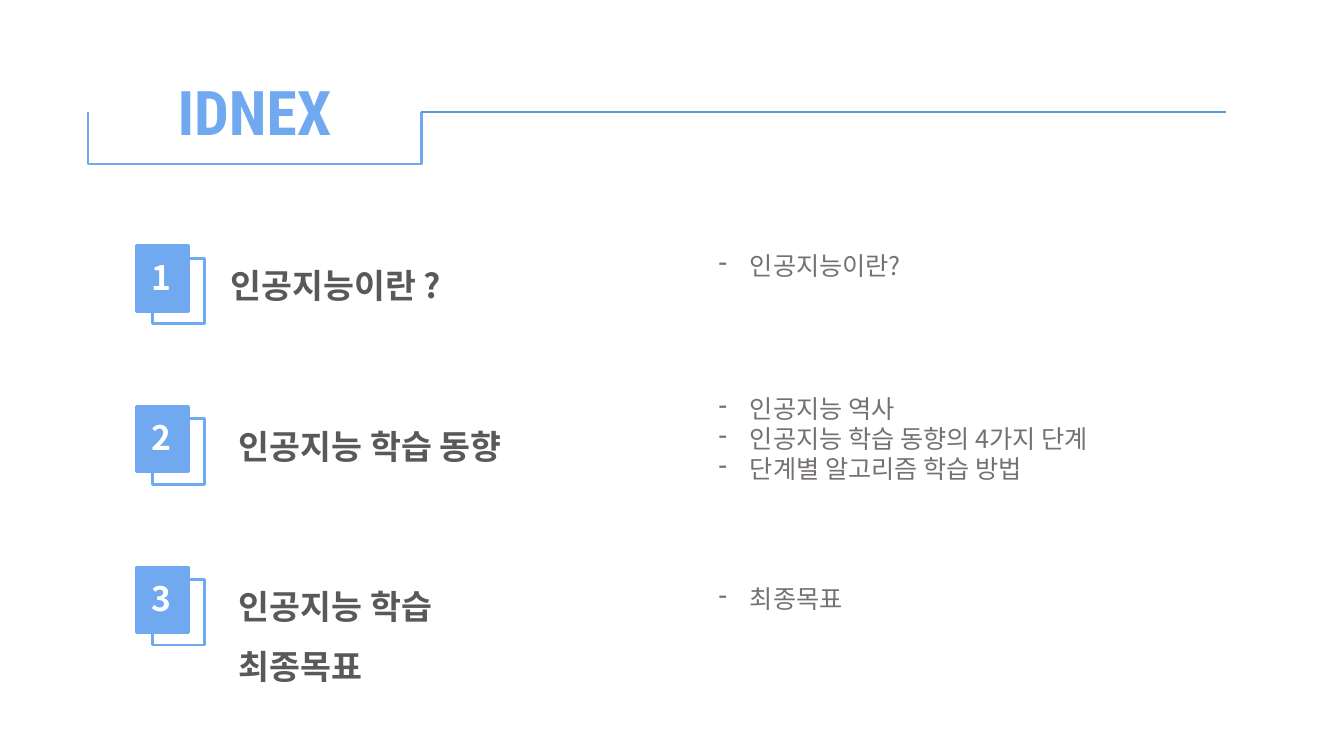
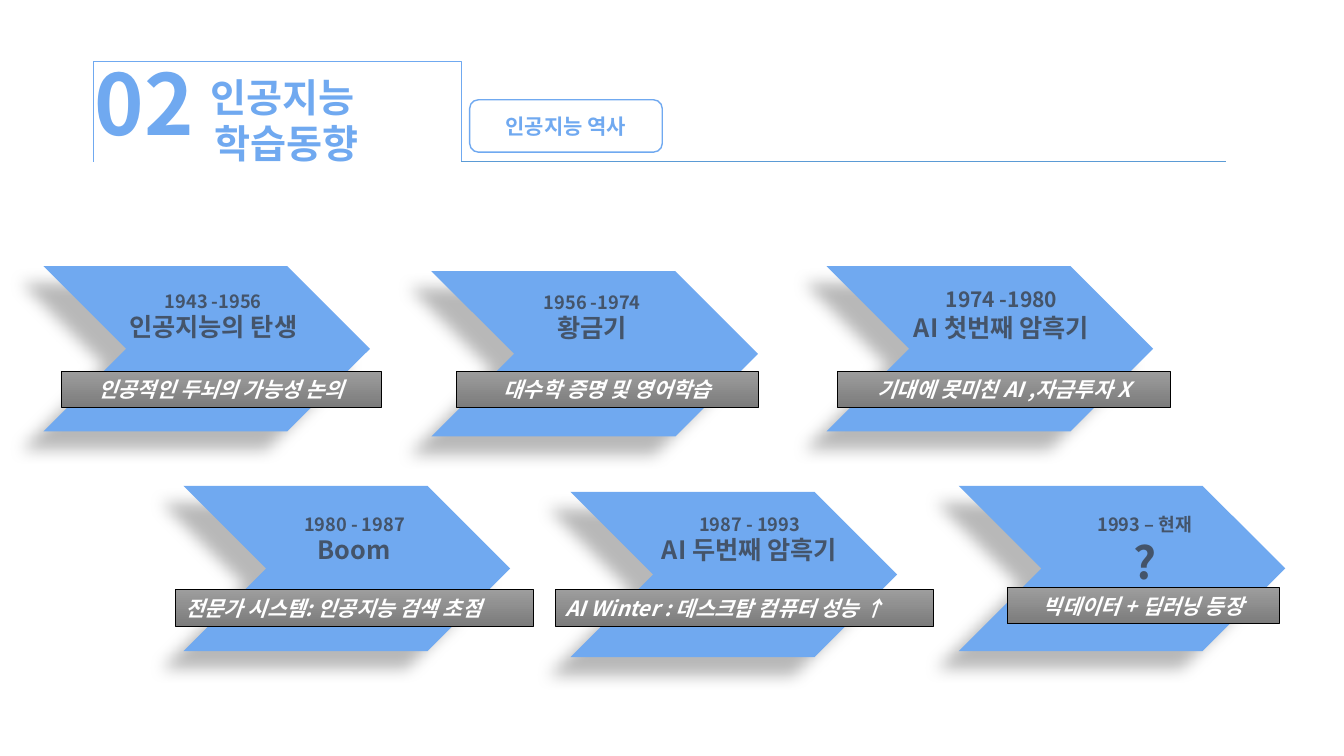
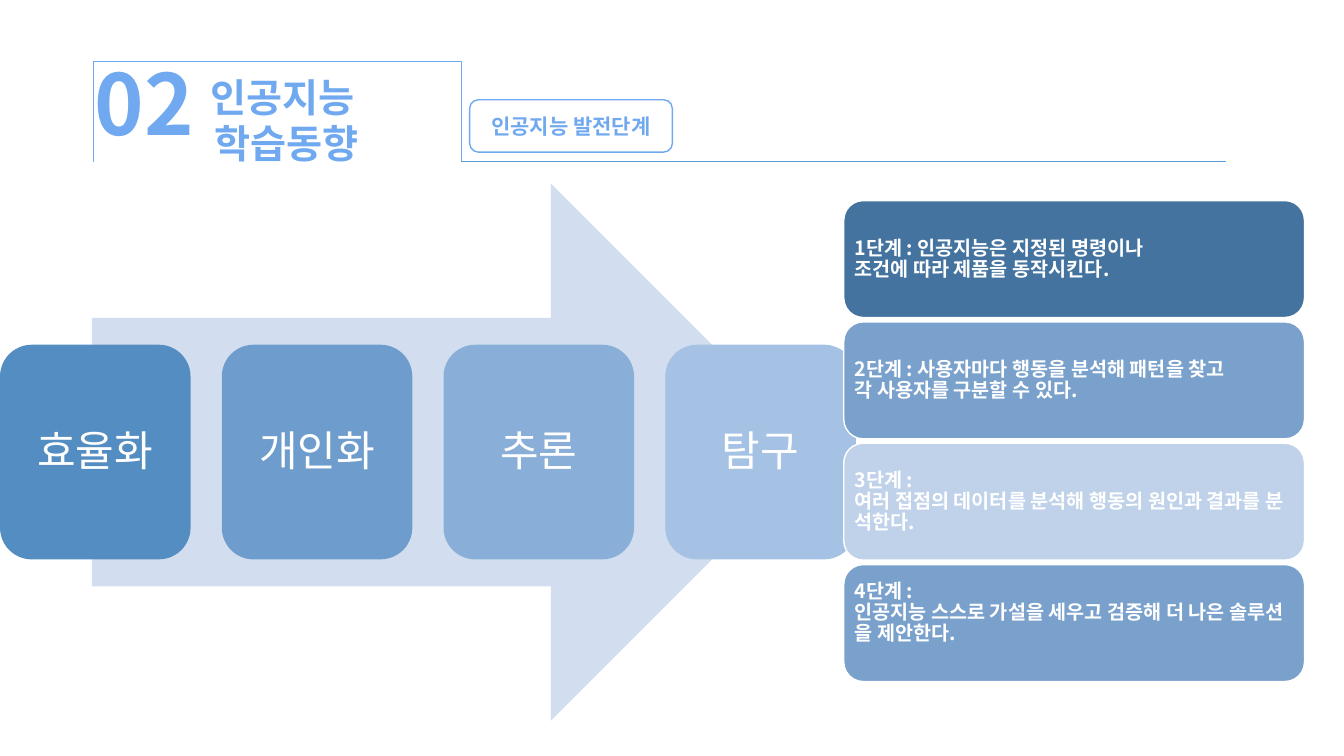
from dataclasses import dataclass

from lxml.etree import SubElement
from pptx import Presentation
from pptx.dml.color import RGBColor
from pptx.enum.shapes import MSO_CONNECTOR as Connector, MSO_SHAPE as Shape
from pptx.enum.text import MSO_ANCHOR as Anchor, PP_ALIGN as Align
from pptx.oxml.ns import qn
from pptx.util import Inches, Pt

WIDTH, HEIGHT = Inches(13.33), Inches(7.5)
SANS, CONDENSED = "Noto Sans CJK KR", "Roboto Condensed"
LINE_HEIGHT = 1.19
NBSP = chr(160)

BLUE = RGBColor(0x70, 0xA9, 0xF0)
RULE_BLUE = RGBColor(0x5B, 0x9B, 0xD5)
WHITE = RGBColor(0xFF, 0xFF, 0xFF)
BLACK = RGBColor(0x00, 0x00, 0x00)
HEADING_GRAY = RGBColor(0x59, 0x59, 0x59)
DETAIL_GRAY = RGBColor(0x76, 0x71, 0x71)
SLATE = RGBColor(0x44, 0x54, 0x6A)
BAR_TOP = RGBColor(0x9D, 0x9D, 0x9D)
BAR_BOTTOM = RGBColor(0x7C, 0x7C, 0x7C)
ARROW_BLUE = RGBColor(0xD2, 0xDE, 0xEF)
STEP_FILLS = [
    RGBColor(0x53, 0x8D, 0xC1),
    RGBColor(0x6E, 0x9D, 0xCD),
    RGBColor(0x89, 0xAF, 0xD8),
    RGBColor(0xA5, 0xC1, 0xE3),
]
PANEL_DARK = RGBColor(0x43, 0x73, 0x9E)
PANEL_MID = RGBColor(0x7A, 0xA1, 0xCC)
PANEL_LIGHT = RGBColor(0xC0, 0xD2, 0xEA)


@dataclass(frozen=True)
class Style:
    size: float
    color: RGBColor
    bold: bool = True
    italic: bool = False
    font: str = SANS
    align: Align = Align.LEFT
    spacing: float = 1.0


TITLE = Style(44, BLUE, font=CONDENSED, align=Align.CENTER)
NUMBER = Style(24, WHITE, spacing=1.5)
HEADING = Style(24, HEADING_GRAY, spacing=1.5)
DETAIL = Style(18, DETAIL_GRAY, bold=False)
CHAPTER_NUMBER = Style(60, BLUE)
CHAPTER = Style(28, BLUE, align=Align.CENTER)
TAG = Style(15, BLUE, align=Align.CENTER)
BAR = Style(15, WHITE, italic=True, align=Align.CENTER)
BAR_LEFT = Style(15, WHITE, italic=True)
STEP = Style(30, WHITE, bold=False, align=Align.CENTER, spacing=0.9)
PANEL = Style(14, WHITE, spacing=0.9)


@dataclass(frozen=True)
class Milestone:
    chevron: tuple
    caption: tuple
    period: str
    period_size: int
    name: str
    name_size: int
    bar: tuple
    note: str
    note_style: Style = BAR


INDEX = [
    (16.43, ["인공지능이란 ?"], 32.53, ["인공지능이란?"]),
    (17.03, ["인공지능 학습 동향"], 51.47,
     ["인공지능 역사", "인공지능 학습 동향의 4가지 단계", "단계별 알고리즘 학습 방법"]),
    (17.03, ["인공지능 학습", "최종목표"], 76.53, ["최종목표"]),
]

MILESTONES = [
    Milestone((3.23, 35.2), (4.35, 37.73), "1943 -1956", 13, "인공지능의 탄생", 18,
              (4.58, 49.07, 23.78), "인공적인 두뇌의 가능성 논의"),
    Milestone((32.1, 35.87), (32.55, 37.87), "1956 -1974", 13, "황금기", 18,
              (33.98, 49.07, 22.43), "대수학 증명 및 영어학습"),
    Milestone((61.5, 35.2), (63, 37.33), "1974 -1980", 15, "AI 첫번째 암흑기", 18,
              (62.33, 49.07, 24.75), "기대에 못미친 AI ,자금투자 X"),
    Milestone((13.65, 64.27), (14.85, 67.2), "1980 - 1987", 13, "Boom", 18,
              (13.05, 78, 26.63), "전문가 시스템: 인공지능 검색 초점", BAR_LEFT),
    Milestone((42.45, 65.07), (44.25, 67.2), "1987 - 1993", 13, "AI 두번째 암흑기", 18,
              (41.33, 78, 28.13), "AI Winter : 데스크탑 컴퓨터 성능 ↑", BAR_LEFT),
    Milestone((71.33, 64.27), (73.65, 67.2), "1993 – 현재", 13, "?", 32,
              (74.93, 77.73, 20.25), "빅데이터 + 딥러닝 등장"),
]

STEPS = ["효율화", "개인화", "추론", "탐구"]

PANELS = [
    (PANEL_DARK, ["인공지능은 지정된 명령이나", "조건에 따라 제품을 동작시킨다."], 0.05),
    (PANEL_MID, ["사용자마다 행동을 분석해 패턴을 찾고", "각 사용자를 구분할 수 있다."], 0.05),
    (PANEL_LIGHT, ["여러 접점의 데이터를 분석해 행동의 원인과 결과를 분석한다."], 0.05),
    (PANEL_MID, ["인공지능 스스로 가설을 세우고 검증해 더 나은 솔루션을 제안한다."], 0.26),
]


def across(share):
    return int(WIDTH * share / 100)


def down(share):
    return int(HEIGHT * share / 100)


def place(left, top, width, height):
    return across(left), down(top), across(width), down(height)


def add_bullet(para):
    props = para._p.get_or_add_pPr()
    props.set("marL", str(Inches(0.31)))
    props.set("indent", str(-Inches(0.31)))
    SubElement(props, qn("a:buChar")).set("char", "-")


def write(para, text, style):
    para.alignment = style.align
    para.line_spacing = Pt(round(style.size * LINE_HEIGHT * style.spacing, 1))
    span = para.add_run()
    span.text = text
    font = span.font
    font.name, font.size = style.font, Pt(style.size)
    font.bold, font.italic = style.bold, style.italic
    font.color.rgb = style.color
    SubElement(span._r.get_or_add_rPr(), qn("a:ea")).set("typeface", style.font)


def fill_text(box, lines, bullets=False):
    frame = box.text_frame
    frame.word_wrap = True
    for index, (text, style) in enumerate(lines):
        para = frame.add_paragraph() if index else frame.paragraphs[0]
        write(para, text, style)
        if bullets:
            add_bullet(para)
    return frame


def add_text(slide, area, lines, bullets=False):
    fill_text(slide.shapes.add_textbox(*place(*area)), lines, bullets)


def add_block(slide, kind, area, fill=None, line=None, weight=1):
    block = slide.shapes.add_shape(kind, *place(*area))
    block.shadow.inherit = False
    if fill is None:
        block.fill.background()
    else:
        block.fill.solid()
        block.fill.fore_color.rgb = fill
    if line is None:
        block.line.fill.background()
    else:
        block.line.color.rgb = line
        block.line.width = Pt(weight)
    return block


def label(block, text, style):
    frame = fill_text(block, [(text, style)])
    frame.vertical_anchor = Anchor.MIDDLE
    return frame


def add_title_frame(slide, area, rotation, rule_top, weight):
    bracket = add_block(slide, Shape.RIGHT_BRACKET, area, line=BLUE, weight=weight)
    left, top, width, height = place(*area)
    bracket.left, bracket.top = left + (width - height) // 2, top + (height - width) // 2
    bracket.width, bracket.height = height, width
    bracket.rotation = rotation
    bracket.adjustments[0] = 0
    rule = slide.shapes.add_connector(
        Connector.STRAIGHT, left + width, down(rule_top), across(91.2), down(rule_top))
    rule.line.color.rgb = RULE_BLUE
    rule.line.width = Pt(weight)
    SubElement(rule._element.spPr, qn("a:effectLst"))


def add_chapter_header(slide, topic, tag_width):
    add_title_frame(slide, (6.94, 8.07, 27.38, 13.33), 270, 21.4, 0.5)
    add_text(slide, (13.65, 9.07, 14.7, 15.2), [("인공지능", CHAPTER), (" 학습동향", CHAPTER)])
    add_text(slide, (6.3, 6.3, 15.38, 14.67), [("02", CHAPTER_NUMBER)])
    tag = add_block(slide, Shape.ROUNDED_RECTANGLE, (34.95, 13.2, tag_width, 6.93), line=BLUE)
    label(tag, topic, TAG)


def add_badge(slide, left, top, number):
    size = 3.9, 8.67
    add_block(slide, Shape.RECTANGLE, (left + 1.2, top + 1.65, *size), line=BLUE, weight=2)
    add_block(slide, Shape.RECTANGLE, (left, top, *size), BLUE, BLUE, 2)
    add_text(slide, (left + 0.4, top - 1.8, 4.5, 10.67), [(str(number), NUMBER)])


def cast_shadow(block):
    effects = block._element.spPr.find(qn("a:effectLst"))
    shadow = SubElement(effects, qn("a:outerShdw"), blurRad=str(Pt(11.8)),
                        dist=str(Pt(19.7)), dir=str(141 * 60000), rotWithShape="0")
    color = SubElement(shadow, qn("a:srgbClr"), val=str(BLACK))
    SubElement(color, qn("a:alpha"), val="28000")


def add_milestone(slide, item):
    cast_shadow(add_block(slide, Shape.CHEVRON, (*item.chevron, 24.3, 21.87), BLUE))
    lines = [(text, Style(size, SLATE, align=Align.CENTER))
             for text, size in ((item.period, item.period_size), (item.name, item.name_size))]
    add_text(slide, (*item.caption, 23.03, 8.27), lines)
    bar = add_block(slide, Shape.RECTANGLE, (*item.bar, 4.8), line=BLACK, weight=0.5)
    bar.fill.gradient()
    bar.fill.gradient_angle = 270
    for stop, color in zip(bar.fill.gradient_stops, (BAR_TOP, BAR_BOTTOM)):
        stop.color.rgb = color
    label(bar, item.note, item.note_style)


def add_panel(slide, index, fill, parts, bottom):
    area = 62.78, 26.53 + 16.05 * index, 34.28, 15.47
    panel = add_block(slide, Shape.ROUNDED_RECTANGLE, area, fill, WHITE)
    glued = [part.replace(" ", NBSP) for part in parts]
    frame = label(panel, " ".join([f"{index + 1}단계 :", *glued]), PANEL)
    frame.margin_left, frame.margin_right = Inches(0.05), Inches(0.07)
    frame.margin_bottom = Inches(bottom)


def build_index(slide):
    add_title_frame(slide, (6.53, 14.8, 24.83, 6.93), 90, 14.8, 1.75)
    add_text(slide, (10.13, 9.2, 17.63, 11.2), [("IDNEX", TITLE)])
    for row, (left, heading, detail_top, details) in enumerate(INDEX):
        top = 32.5 + 21.25 * row
        add_badge(slide, 10.13, top, row + 1)
        add_text(slide, (left, top - 0.7, 24, 10.93), [(text, HEADING) for text in heading])
        add_text(slide, (52.73, detail_top, 35.93, 7.07),
                 [(text, DETAIL) for text in details], bullets=True)


def build_history(slide):
    add_chapter_header(slide, "인공지능 역사", 14.33)
    for item in MILESTONES:
        add_milestone(slide, item)


def build_stages(slide):
    add_chapter_header(slide, "인공지능 발전단계", 15.08)
    add_block(slide, Shape.RIGHT_ARROW, (6.83, 24.27, 54.15, 71.07), ARROW_BLUE)
    for column, (name, fill) in enumerate(zip(STEPS, STEP_FILLS)):
        area = 16.5 * column, 45.6, 14.18, 28.4
        label(add_block(slide, Shape.ROUNDED_RECTANGLE, area, fill), name, STEP)
    for index, panel in enumerate(PANELS):
        add_panel(slide, index, *panel)


def main():
    deck = Presentation()
    deck.slide_width, deck.slide_height = WIDTH, HEIGHT
    for build in (build_index, build_history, build_stages):
        build(deck.slides.add_slide(deck.slide_layouts[6]))
    deck.save("out.pptx")


if __name__ == "__main__":
    main()
